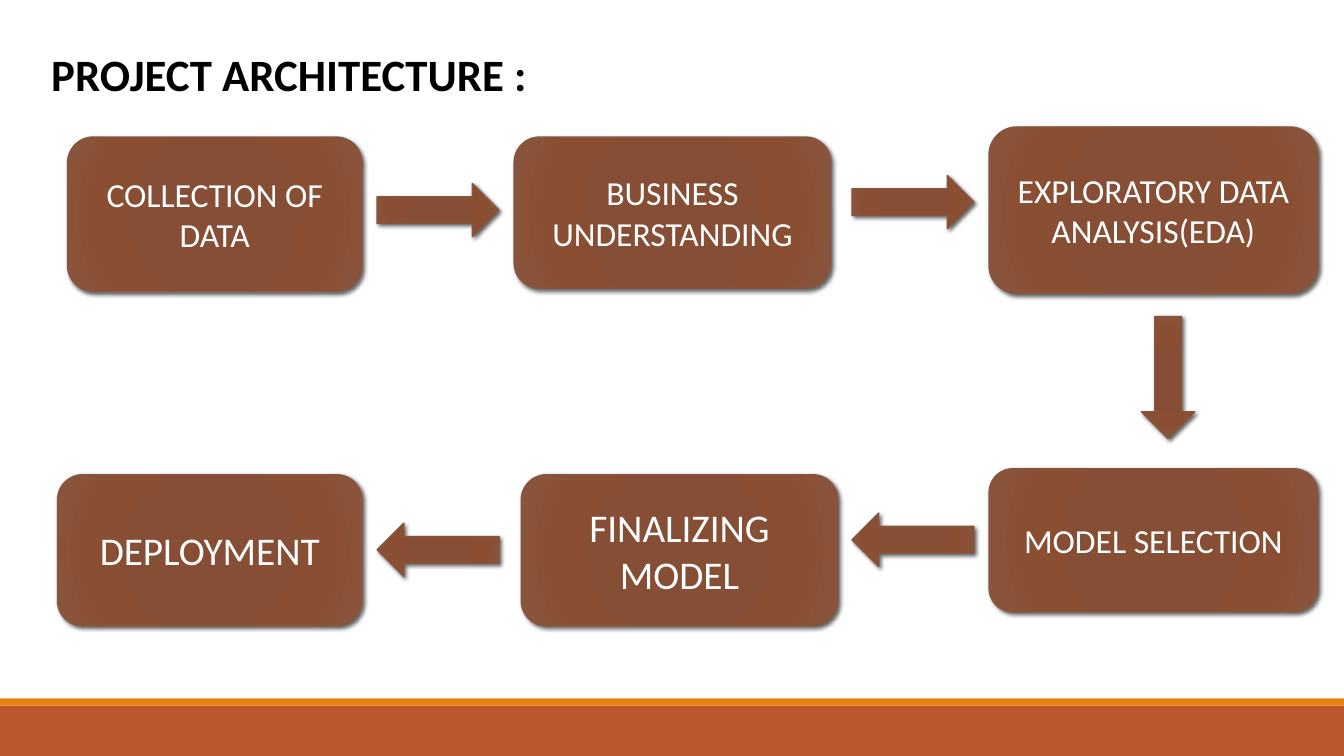
from dataclasses import dataclass

from lxml.etree import SubElement
from pptx import Presentation
from pptx.dml.color import RGBColor
from pptx.enum.shapes import MSO_SHAPE as Preset
from pptx.enum.text import MSO_ANCHOR as Anchor, PP_ALIGN as Align
from pptx.oxml import parse_xml
from pptx.oxml.ns import nsdecls, qn
from pptx.util import Inches, Pt

FONT = "Calibri"
OUTLINE = "865640"
GRADIENT = [(0, "874C32"), (34, "864E34"), (70, "8A4E33"), (100, "8A553D")]
ARROW_WIDTH, ARROW_HEIGHT = 1.21, 0.53


@dataclass
class Stage:
    label: str
    left: float
    top: float
    width: float
    height: float
    size: int = 24


@dataclass
class Arrow:
    left: float
    top: float
    preset: Preset
    rotation: int = 0


@dataclass
class Band:
    top: float
    height: float
    color: str


BANDS = [Band(7, 0.5, "BD582C"), Band(6.93, 0.07, "E48312")]

STAGES = [
    Stage("COLLECTION OF DATA", 0.67, 1.36, 2.92, 1.53),
    Stage("BUSINESS UNDERSTANDING", 5.1, 1.36, 3.14, 1.5),
    Stage("EXPLORATORY DATA ANALYSIS(EDA)", 9.81, 1.26, 3.26, 1.65),
    Stage("MODEL SELECTION", 9.81, 4.65, 3.26, 1.42),
    Stage("FINALIZING MODEL", 5.17, 4.71, 3.14, 1.5, 28),
    Stage("DEPLOYMENT", 0.57, 4.71, 3.02, 1.5, 28),
]

ARROWS = [
    Arrow(3.74, 1.82, Preset.RIGHT_ARROW),
    Arrow(8.45, 1.74, Preset.RIGHT_ARROW),
    Arrow(10.98, 3.48, Preset.RIGHT_ARROW, 90),
    Arrow(8.45, 5.09, Preset.LEFT_ARROW),
    Arrow(3.74, 5.19, Preset.LEFT_ARROW),
]


def rgb(color: str) -> RGBColor:
    return RGBColor.from_string(color)


def add_preset(page, preset: Preset, left: float, top: float, width: float, height: float):
    shape = page.shapes.add_shape(
        preset, Inches(left), Inches(top), Inches(width), Inches(height))
    shape.shadow.inherit = False
    return shape


def apply_brown_style(shape) -> None:
    """Give a shape the radial gradient, thin outline and soft shadow."""
    shape.line.color.rgb = rgb(OUTLINE)
    shape.line.width = Pt(1)

    shape.fill.background()
    properties = shape.element.spPr
    stops = "".join(
        f'<a:gs pos="{position * 1000}"><a:srgbClr val="{color}"/></a:gs>'
        for position, color in GRADIENT)
    gradient = parse_xml(
        f'<a:gradFill {nsdecls("a")} rotWithShape="1"><a:gsLst>{stops}</a:gsLst>'
        '<a:path path="circle"><a:fillToRect l="100000" t="100000" r="100000" b="100000"/>'
        '</a:path></a:gradFill>')
    properties.replace(properties.find(qn("a:noFill")), gradient)

    shadow = SubElement(
        properties.find(qn("a:effectLst")), qn("a:outerShdw"),
        blurRad=str(Pt(3)), dist=str(Pt(2)), dir=str(45 * 60000),
        algn="tl", rotWithShape="0")
    black = SubElement(shadow, qn("a:srgbClr"), val="000000")
    SubElement(black, qn("a:alpha"), val="60000")


def add_span(para, text: str, size: int, color: str, bold: bool = False) -> None:
    span = para.add_run()
    span.text = text
    span.font.name = FONT
    span.font.size = Pt(size)
    span.font.bold = bold
    span.font.color.rgb = rgb(color)


def add_band(page, band: Band) -> None:
    shape = add_preset(page, Preset.RECTANGLE, 0, band.top, 13.33, band.height)
    shape.fill.solid()
    shape.fill.fore_color.rgb = rgb(band.color)
    shape.line.fill.background()


def add_title(page, text: str) -> None:
    box = page.shapes.add_textbox(Inches(0.41), Inches(0.41), Inches(6.67), Inches(1.18))
    box.text_frame.word_wrap = True
    add_span(box.text_frame.paragraphs[0], text, 32, "000000", bold=True)


def add_stage(page, stage: Stage) -> None:
    shape = add_preset(page, Preset.ROUNDED_RECTANGLE,
                       stage.left, stage.top, stage.width, stage.height)
    apply_brown_style(shape)
    frame = shape.text_frame
    frame.word_wrap = True
    frame.vertical_anchor = Anchor.MIDDLE
    para = frame.paragraphs[0]
    para.alignment = Align.CENTER
    add_span(para, stage.label, stage.size, "FFFFFF")


def add_arrow(page, arrow: Arrow) -> None:
    shape = add_preset(page, arrow.preset, arrow.left, arrow.top, ARROW_WIDTH, ARROW_HEIGHT)
    shape.rotation = arrow.rotation
    apply_brown_style(shape)


def main() -> None:
    deck = Presentation()
    deck.slide_width, deck.slide_height = Inches(13.33), Inches(7.5)
    page = deck.slides.add_slide(deck.slide_layouts[6])

    # Footer bands
    for band in BANDS:
        add_band(page, band)

    # Title
    add_title(page, "PROJECT ARCHITECTURE :")

    # Process flow
    for stage in STAGES:
        add_stage(page, stage)
    for arrow in ARROWS:
        add_arrow(page, arrow)

    deck.save("out.pptx")


if __name__ == "__main__":
    main()
